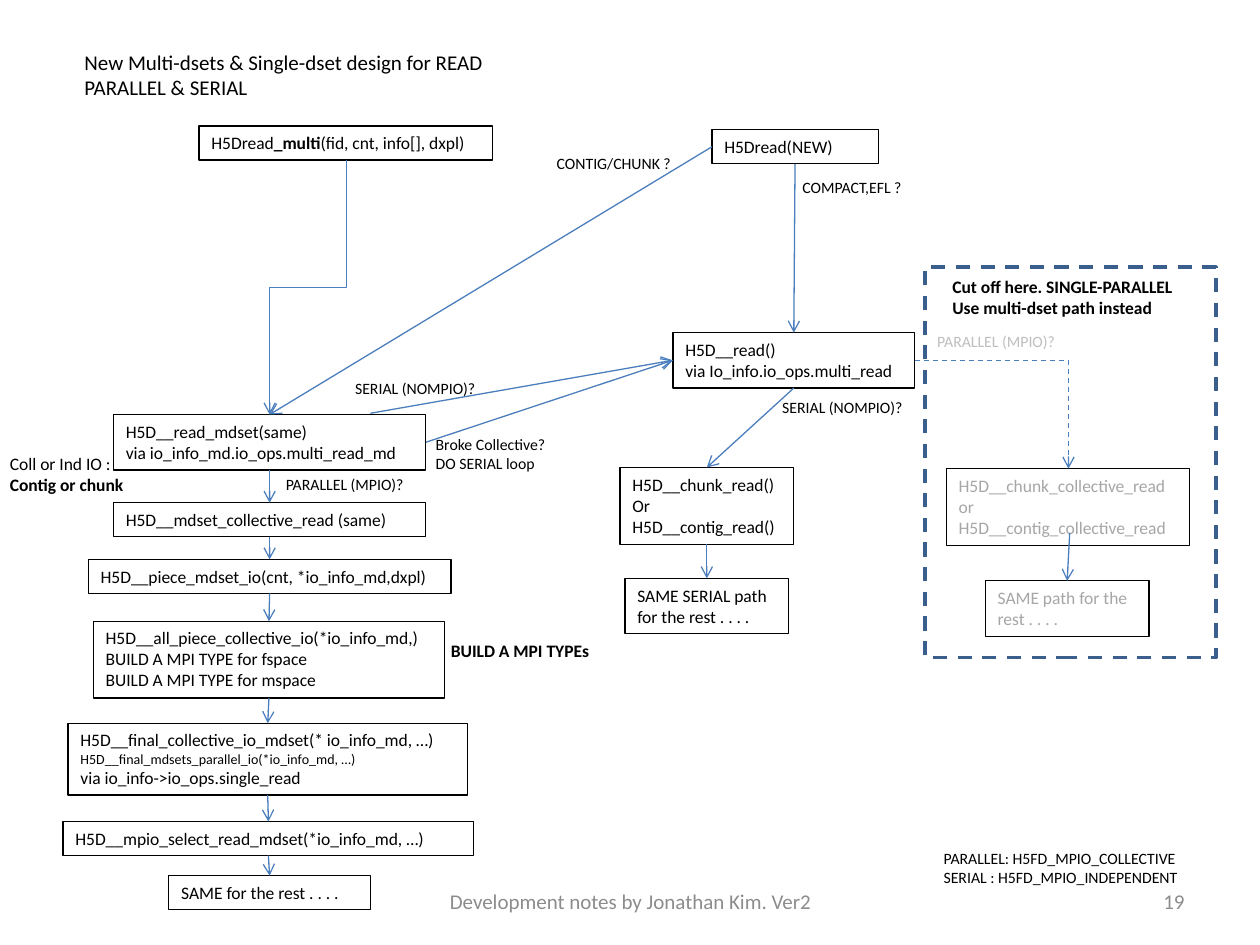
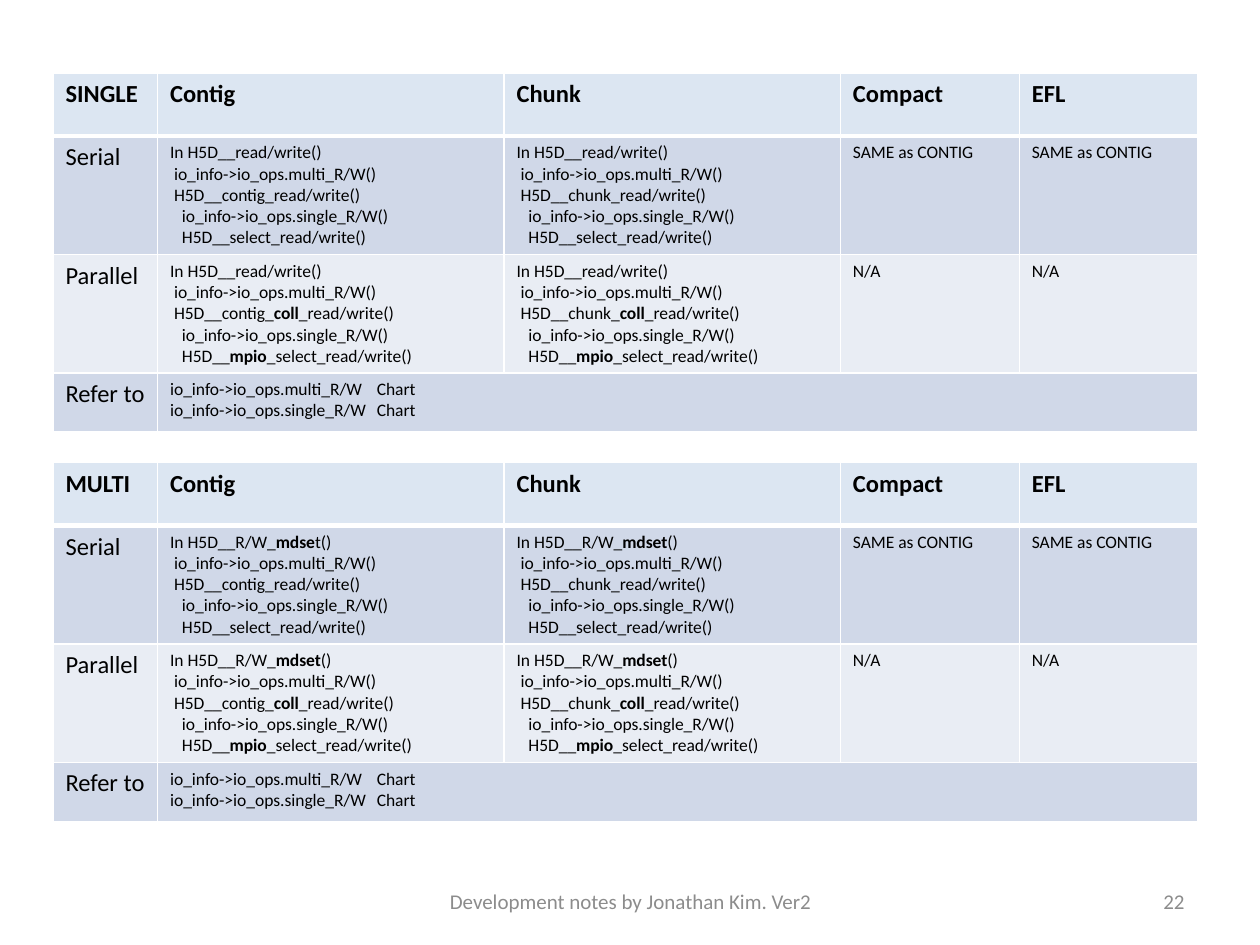
"""Build the two HDF5 multi-dataset design slides."""
from lxml import etree
from pptx import Presentation
from pptx.dml.color import RGBColor
from pptx.enum.dml import MSO_LINE
from pptx.enum.shapes import MSO_CONNECTOR, MSO_SHAPE
from pptx.enum.text import MSO_ANCHOR, MSO_AUTO_SIZE, PP_ALIGN
from pptx.oxml.ns import qn
from pptx.util import Inches, Pt

RECTANGLE = MSO_SHAPE.RECTANGLE
STRAIGHT, ELBOW = MSO_CONNECTOR.STRAIGHT, MSO_CONNECTOR.ELBOW
DASH = MSO_LINE.DASH
TOP, MIDDLE = MSO_ANCHOR.TOP, MSO_ANCHOR.MIDDLE
LEFT, CENTER, RIGHT = PP_ALIGN.LEFT, PP_ALIGN.CENTER, PP_ALIGN.RIGHT
TOP_SIDE, LEFT_SIDE, BOTTOM_SIDE, RIGHT_SIDE = range(4)
TITLE_ONLY, BLANK = 5, 6

FONT = "Calibri"
BLACK, WHITE = "000000", "FFFFFF"
ARROW_BLUE, FRAME_BLUE = "4B7EBC", "3A5F8C"
FOOTER_GRAY, CUT_GRAY, CUT_LABEL_GRAY = "8C8C8C", "A6A6A6", "BFBFBF"
HEADER_FILL, DARK_ROW, LIGHT_ROW = "DCE6F2", "D0D8E8", "E9EDF4"
FOOTER = "Development notes by Jonathan Kim. Ver2"

COLUMNS = [0.83, 2.75, 2.67, 1.42, 1.42]
ROWS = [0.5, 0.94, 0.94, 0.47]
CHART_TAB = 1.64


def rgb(color):
    return RGBColor.from_string(color)


def write_text(frame, text, size=10, color=BLACK, bold=False, align=LEFT,
               anchor=TOP, line_sizes=None, tab=None):
    frame.word_wrap = True
    frame.vertical_anchor = anchor
    for index, line in enumerate(text.split("\n")):
        para = frame.paragraphs[0] if index == 0 else frame.add_paragraph()
        para.alignment = align
        if tab:
            tabs = etree.SubElement(para._p.get_or_add_pPr(), qn("a:tabLst"))
            etree.SubElement(tabs, qn("a:tab"), pos=str(Inches(tab)), algn="l")
        for part, piece in enumerate(line.split("**")):
            if piece:
                span = para.add_run()
                span.text = piece
                span.font.name = FONT
                span.font.size = Pt((line_sizes or {}).get(index, size))
                span.font.bold = bold or part % 2 == 1
                span.font.color.rgb = rgb(color)


class Page:
    """Holds the shared style and the current slide."""

    def __init__(self, deck):
        self.deck = deck

    def start(self, layout, number):
        self.slide = self.deck.slides.add_slide(self.deck.slide_layouts[layout])
        self.shapes = self.slide.shapes
        self.label(FOOTER, 3.42, 6.95, 3.17, 0.4, size=12, color=FOOTER_GRAY,
                   align=CENTER, anchor=MIDDLE)
        self.label(str(number), 7.17, 6.95, 2.33, 0.4, size=12,
                   color=FOOTER_GRAY, align=RIGHT, anchor=MIDDLE)

    def title(self, text, left, top, width, height):
        title = self.shapes.title
        title.left, title.top = Inches(left), Inches(top)
        title.width, title.height = Inches(width), Inches(height)
        title.text_frame.auto_size = MSO_AUTO_SIZE.NONE
        write_text(title.text_frame, text, size=12)

    def label(self, text, left, top, width, height, **style):
        box = self.shapes.add_textbox(Inches(left), Inches(top),
                                      Inches(width), Inches(height))
        write_text(box.text_frame, text, **style)

    def outline(self, left, top, width, height, color=BLACK, weight=0.75):
        box = self.shapes.add_shape(RECTANGLE, Inches(left), Inches(top),
                                    Inches(width), Inches(height))
        box.shadow.inherit = False
        box.fill.background()
        box.line.color.rgb = rgb(color)
        box.line.width = Pt(weight)
        return box

    def step(self, text, left, top, width, height, **style):
        box = self.outline(left, top, width, height)
        write_text(box.text_frame, text, **style)
        return box

    def finish_arrow(self, connector):
        connector.line.color.rgb = rgb(ARROW_BLUE)
        connector.line.width = Pt(0.75)
        properties = connector._element.spPr
        etree.SubElement(properties, qn("a:effectLst"))
        etree.SubElement(properties.find(qn("a:ln")), qn("a:tailEnd"), type="arrow")

    def arrow(self, begin, end, begin_side=BOTTOM_SIDE, end_side=TOP_SIDE):
        floating = isinstance(begin, tuple)
        x, y = begin if floating else (0, 0)
        connector = self.shapes.add_connector(STRAIGHT, Inches(x), Inches(y),
                                              Inches(x), Inches(y))
        if not floating:
            connector.begin_connect(begin, begin_side)
        connector.end_connect(end, end_side)
        self.finish_arrow(connector)

    def step_down_arrow(self, x, y, end_x, end_y):
        middle_x, middle_y = (x + end_x) / 2, (y + end_y) / 2
        half_run, half_rise = (end_y - y) / 2, (x - end_x) / 2
        connector = self.shapes.add_connector(
            ELBOW, Inches(middle_x - half_run), Inches(middle_y - half_rise),
            Inches(middle_x + half_run), Inches(middle_y + half_rise))
        connector._element.spPr.find(qn("a:xfrm")).set("rot", "5400000")
        self.finish_arrow(connector)

    def corner_arrow(self, x, y, end_x, end_y):
        connector = self.shapes.add_connector(ELBOW, Inches(x), Inches(y),
                                              Inches(end_x), Inches(end_y))
        connector._element.spPr.find(qn("a:prstGeom")).set("prst", "bentConnector2")
        connector.line.dash_style = DASH
        self.finish_arrow(connector)

    def cell(self, cell, text, fill, top_weight=1, bottom_weight=1, **style):
        if text:
            write_text(cell.text_frame, text, **style)
        cell.fill.solid()
        cell.fill.fore_color.rgb = rgb(fill)
        properties = cell._tc.get_or_add_tcPr()
        weights = {"lnL": 1, "lnR": 1, "lnT": top_weight, "lnB": bottom_weight}
        for position, (side, weight) in enumerate(weights.items()):
            border = etree.Element(qn(f"a:{side}"), w=str(Pt(weight)))
            paint = etree.SubElement(border, qn("a:solidFill"))
            etree.SubElement(paint, qn("a:srgbClr"), val=WHITE)
            properties.insert(position, border)

    def table(self, rows, left, top):
        table = self.shapes.add_table(
            len(ROWS), len(COLUMNS), Inches(left), Inches(top),
            Inches(sum(COLUMNS)), Inches(sum(ROWS))).table
        table.first_row = table.horz_banding = False
        for column, width in zip(table.columns, COLUMNS):
            column.width = Inches(width)
        for row, height in zip(table.rows, ROWS):
            row.height = Inches(height)
        table.cell(3, 1).merge(table.cell(3, 4))
        fills = [HEADER_FILL, DARK_ROW, LIGHT_ROW, DARK_ROW]
        for row, texts in enumerate(rows):
            for column, text in enumerate(texts):
                self.cell(table.cell(row, column), text, fills[row],
                          top_weight=3 if row == 1 else 1,
                          bottom_weight=3 if row == 0 else 1,
                          size=14 if row == 0 or column == 0 else 10,
                          bold=row == 0,
                          tab=CHART_TAB if row == 3 and column else None)


def call_list(opening, storage, parallel=False):
    collective, mpio = ("**coll**_", "**mpio**_") if parallel else ("", "")
    return "\n".join([
        f"In H5D__{opening}()",
        " io_info->io_ops.multi_R/W()",
        f" H5D__{storage}_{collective}read/write()",
        "   io_info->io_ops.single_R/W()",
        f"   H5D__{mpio}select_read/write()"])


def path_rows(name, opening, first_opening):
    return [
        [name, "Contig", "Chunk", "Compact", "EFL"],
        ["Serial", call_list(first_opening, "contig"), call_list(opening, "chunk"),
         "SAME as CONTIG", "SAME as CONTIG"],
        ["Parallel", call_list(opening, "contig", True),
         call_list(opening, "chunk", True), "N/A", "N/A"],
        ["Refer to", "io_info->io_ops.multi_R/W\tChart\n"
                     "io_info->io_ops.single_R/W\tChart", "", "", ""]]


def build_read_design(page):
    page.start(TITLE_ONLY, 19)
    page.title("New Multi-dsets & Single-dset design for READ\nPARALLEL & SERIAL",
               0.57, 0.34, 3.73, 0.5)

    page.step("H5Dread**_multi**(fid, cnt, info[], dxpl)", 1.58, 1, 2.33, 0.27)
    read_mdset = page.step("H5D__read_mdset(same)\nvia io_info_md.io_ops.multi_read_md",
                           0.9, 3.29, 2.48, 0.44)
    multi_chain = [
        read_mdset,
        page.step("H5D__mdset_collective_read (same)", 0.9, 3.99, 2.48, 0.27),
        page.step("H5D__piece_mdset_io(cnt, *io_info_md,dxpl)", 0.7, 4.44, 2.88, 0.27),
        page.step("H5D__all_piece_collective_io(*io_info_md,)\n"
                  "BUILD A MPI TYPE for fspace\nBUILD A MPI TYPE for mspace",
                  0.74, 4.93, 2.79, 0.61),
        page.step("H5D__final_collective_io_mdset(* io_info_md, …)\n"
                  "H5D__final_mdsets_parallel_io(*io_info_md, …)\n"
                  "via io_info->io_ops.single_read",
                  0.54, 5.74, 3.17, 0.57, line_sizes={1: 8}),
        page.step("H5D__mpio_select_read_mdset(*io_info_md, …)", 0.5, 6.52, 3.26, 0.27),
        page.step("SAME for the rest . . . .", 1.34, 6.95, 1.6, 0.27)]

    read_new = page.step("H5Dread(NEW)", 5.65, 1.03, 1.32, 0.27)
    read = page.step("H5D__read()\nvia Io_info.io_ops.multi_read", 5.34, 2.64, 1.92, 0.44)
    single_chain = [
        read_new, read,
        page.step("H5D__chunk_read()\nOr\nH5D__contig_read()", 4.92, 3.71, 1.38, 0.61),
        page.step("SAME SERIAL path for the rest . . . .", 4.96, 4.59, 1.3, 0.44)]

    page.step("H5D__chunk_collective_read\nor H5D__contig_collective_read",
              7.51, 3.72, 1.93, 0.61, color=CUT_GRAY)
    cut_rest = page.step("SAME path for the rest . . . .", 7.82, 4.61, 1.3, 0.44,
                         color=CUT_GRAY)
    cut_frame = page.outline(7.34, 2.12, 2.31, 3.1, color=FRAME_BLUE, weight=2)
    cut_frame.line.dash_style = DASH

    for chain in (multi_chain, single_chain):
        for begin, end in zip(chain, chain[1:]):
            page.arrow(begin, end)
    page.step_down_arrow(2.75, 1.27, 2.14, 3.29)
    page.corner_arrow(7.26, 2.86, 8.48, 3.72)
    page.arrow(read_new, read_mdset, begin_side=LEFT_SIDE)
    page.arrow(read_mdset, read, begin_side=RIGHT_SIDE, end_side=LEFT_SIDE)
    page.arrow((2.94, 3.28), read, end_side=LEFT_SIDE)
    page.arrow((8.49, 4.23), cut_rest)

    page.label("Coll or Ind IO :\n**Contig or chunk**", -0.02, 3.55, 1.12, 0.44)
    page.label("BUILD A MPI TYPEs", 3.48, 5.03, 1.39, 0.27, bold=True)
    page.label("Cut off here. SINGLE-PARALLEL\nUse multi-dset path instead",
               7.46, 2.14, 1.99, 0.44, bold=True)
    page.label("PARALLEL (MPIO)?", 7.34, 2.58, 1.2, 0.25, size=9, color=CUT_LABEL_GRAY)
    for text, left, top, width, height in [
            ("COMPACT,EFL ?", 6.27, 1.36, 1.12, 0.25),
            ("CONTIG/CHUNK ?", 4.32, 1.17, 1.22, 0.25),
            ("SERIAL (NOMPIO)?", 2.72, 2.96, 1.17, 0.25),
            ("SERIAL (NOMPIO)?", 6.11, 3.11, 1.17, 0.25),
            ("PARALLEL (MPIO)?", 2.17, 3.72, 1.2, 0.25),
            ("Broke Collective?\nDO SERIAL loop", 3.36, 3.4, 1.1, 0.4),
            ("PARALLEL: H5FD_MPIO_COLLECTIVE\nSERIAL : H5FD_MPIO_INDEPENDENT",
             7.39, 6.69, 2.18, 0.4)]:
        page.label(text, left, top, width, height, size=9)


def build_path_tables(page):
    page.start(BLANK, 22)
    page.table(path_rows("SINGLE", "read/write", "read/write"), 0.42, 0.58)
    page.table(path_rows("MULTI", "R/W_**mdset**", "R/W_**mdse**t"), 0.42, 3.67)


def main():
    deck = Presentation()
    deck.slide_width, deck.slide_height = Inches(10), Inches(7.5)
    page = Page(deck)
    build_read_design(page)
    build_path_tables(page)
    deck.save("out.pptx")


if __name__ == "__main__":
    main()
